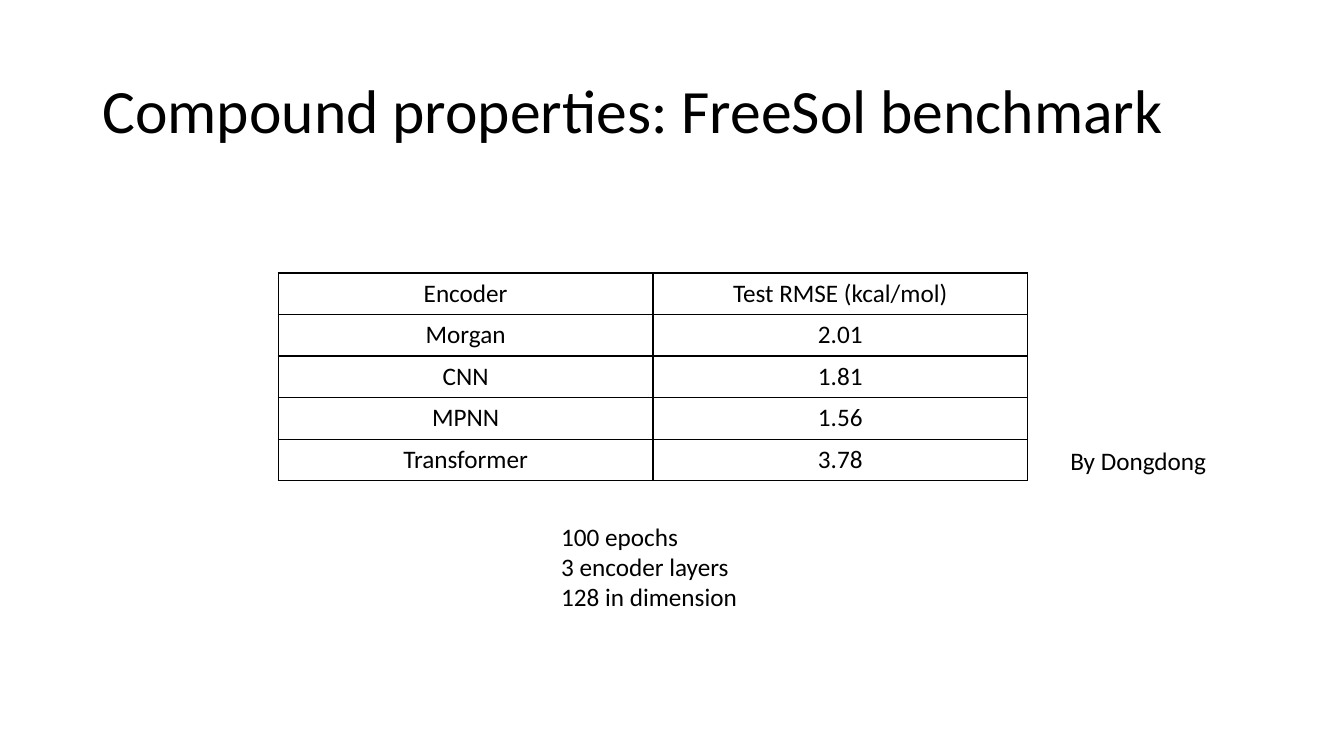
import pptx
import pptx.util
import pptx.dml.color
import pptx.enum.text
import lxml.etree

Pt = pptx.util.Pt
PP_ALIGN = pptx.enum.text.PP_ALIGN
MSO_ANCHOR = pptx.enum.text.MSO_ANCHOR

FONT = "Calibri"
BLACK = "000000"
TITLE = "Compound properties: FreeSol benchmark"
RESULTS = [
    ("Encoder", "Test RMSE (kcal/mol)"),
    ("Morgan", "2.01"),
    ("CNN", "1.81"),
    ("MPNN", "1.56"),
    ("Transformer", "3.78"),
]
NOTES = [
    (("100 epochs", "3 encoder layers", "128 in dimension"), (393.8, 368.6, 146, 72.7)),
    (("By Dongdong",), (757.4, 314.6, 116.6, 29.1)),
]
TABLE_LEFT, TABLE_TOP = 198.8, 195
COL_WIDTH, ROW_HEIGHT = 267.6, 29.7


def rgb(color):
    return pptx.dml.color.RGBColor.from_string(color)


def format_text(tf, size, align=PP_ALIGN.LEFT):
    for p in tf.paragraphs:
        p.alignment = align
        for r in p.runs:
            r.font.name = FONT
            r.font.size = Pt(size)
            r.font.bold = False
            r.font.color.rgb = rgb(BLACK)


def add_borders(cell, width, color):
    ns = "{http://schemas.openxmlformats.org/drawingml/2006/main}"
    tcPr = cell._tc.get_or_add_tcPr()
    for side in ("lnL", "lnR", "lnT", "lnB"):
        ln = lxml.etree.SubElement(tcPr, ns + side, w=str(Pt(width)))
        fill = lxml.etree.SubElement(ln, ns + "solidFill")
        lxml.etree.SubElement(fill, ns + "srgbClr", val=color)


def add_title(s):
    sp = s.shapes.title
    sp.left, sp.top, sp.width, sp.height = Pt(66), Pt(28.8), Pt(828), Pt(104.4)
    tf = sp.text_frame
    tf.text = TITLE
    tf.word_wrap = True
    tf.vertical_anchor = MSO_ANCHOR.MIDDLE
    tf.paragraphs[0].line_spacing = 0.9
    format_text(tf, 44)


def add_results(s):
    rows, cols = len(RESULTS), len(RESULTS[0])
    table = s.shapes.add_table(
        rows, cols, Pt(TABLE_LEFT), Pt(TABLE_TOP),
        Pt(COL_WIDTH * cols), Pt(ROW_HEIGHT * rows)).table
    table.first_row = False
    table.horz_banding = False
    for col in table.columns:
        col.width = Pt(COL_WIDTH)
    for row, values in zip(table.rows, RESULTS):
        row.height = Pt(ROW_HEIGHT)
        for cell, value in zip(row.cells, values):
            cell.text_frame.text = value
            format_text(cell.text_frame, 18, PP_ALIGN.CENTER)
            add_borders(cell, 1, BLACK)
            cell.fill.background()


def add_note(s, lines, box):
    tf = s.shapes.add_textbox(*map(Pt, box)).text_frame
    tf.text = "\n".join(lines)
    tf.word_wrap = False
    tf.auto_size = pptx.enum.text.MSO_AUTO_SIZE.SHAPE_TO_FIT_TEXT
    format_text(tf, 18)


def main():
    prs = pptx.Presentation()
    prs.slide_width, prs.slide_height = Pt(960), Pt(540)
    s = prs.slides.add_slide(prs.slide_layouts[5])
    add_title(s)
    add_results(s)
    for lines, box in NOTES:
        add_note(s, lines, box)
    prs.save("out.pptx")


if __name__ == "__main__":
    main()
